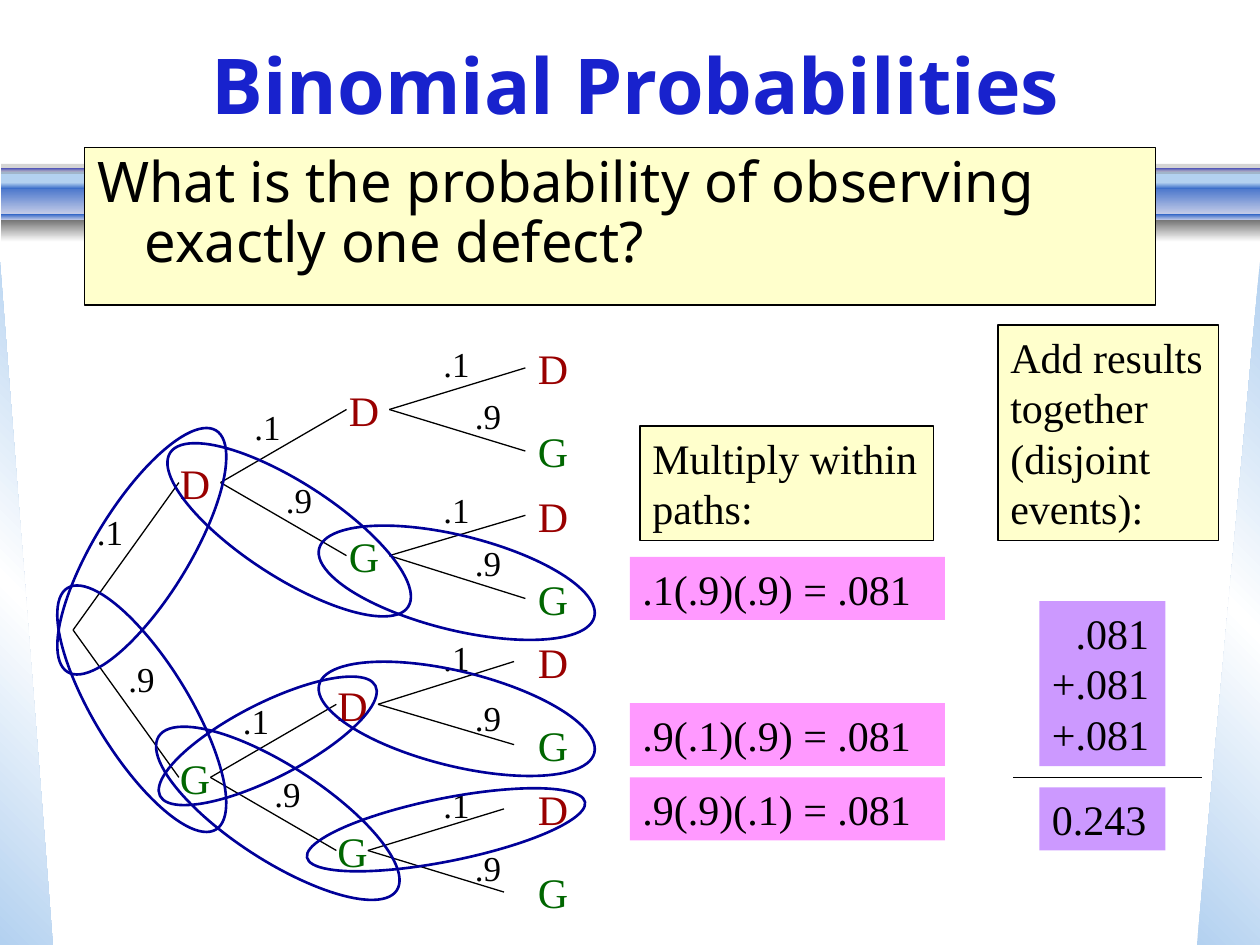
from dataclasses import dataclass

from lxml.etree import SubElement
from pptx import Presentation
from pptx.dml.color import RGBColor
from pptx.enum.shapes import MSO_CONNECTOR, MSO_SHAPE
from pptx.enum.text import MSO_ANCHOR, MSO_AUTO_SIZE, PP_ALIGN
from pptx.oxml import parse_xml
from pptx.oxml.ns import nsdecls, qn
from pptx.util import Inches, Pt


@dataclass(frozen=True)
class Theme:
    sans: str = "Noto Sans"
    serif: str = "Times New Roman"
    title_size: int = 44
    question_size: int = 32
    text_size: int = 24
    chance_size: int = 20
    black: str = "000000"
    title: str = "1822CD"
    defect: str = "990000"
    good: str = "006600"
    loop: str = "000099"
    cream: str = "FFFFCC"
    pink: str = "FF99FF"
    violet: str = "CC99FF"
    sky: str = "B3D1F0"
    blue: str = "3568C7"
    mist: str = "CAD0E9"
    lilac: str = "BABBE7"
    grey: str = "777777"
    white: str = "FFFFFF"


THEME = Theme()


def write_text(frame, text, font=THEME.serif, size=THEME.text_size, color=THEME.black,
               bold=False, align=PP_ALIGN.LEFT, anchor=MSO_ANCHOR.TOP,
               fit=MSO_AUTO_SIZE.NONE, hanging=0, spacing=None):
    """Fill a text frame, one paragraph per line of text."""
    frame.word_wrap = True
    frame.auto_size = fit
    frame.vertical_anchor = anchor
    for number, line in enumerate(text.split("\n")):
        para = frame.add_paragraph() if number else frame.paragraphs[0]
        para.text = line
        if hanging:
            properties = para._p.get_or_add_pPr()
            properties.set("marL", str(Inches(hanging)))
            properties.set("indent", str(-Inches(hanging)))
            SubElement(properties, qn("a:buNone"))
        para.alignment = align
        para.space_before = Pt(0)
        para.line_spacing = spacing
        for span in para.runs:
            span.font.name = font
            span.font.size = Pt(size)
            span.font.bold = bold
            span.font.color.rgb = RGBColor.from_string(color)


class SlideBuilder:
    def __init__(self, deck, theme):
        self.theme = theme
        self.page = deck.slides.add_slide(deck.slide_layouts[1])
        self.nodes = []

    def paint(self, shape, fill=None, line=None, width=0.75):
        if fill:
            shape.fill.solid()
            shape.fill.fore_color.rgb = RGBColor.from_string(fill)
        else:
            shape.fill.background()
        if line:
            shape.line.color.rgb = RGBColor.from_string(line)
            shape.line.width = Pt(width)
        else:
            shape.line.fill.background()

    def shape(self, kind, place, fill=None, line=None, width=0.75, flip=None):
        shape = self.page.shapes.add_shape(kind, *map(Inches, place))
        shape.shadow.inherit = False
        self.paint(shape, fill, line, width)
        if flip:
            shape._element.spPr.find(qn("a:xfrm")).set(flip, "1")
        return shape

    def gradient(self, kind, place, colors, angle=90, flip=None):
        shape = self.shape(kind, place, fill=colors[0], flip=flip)
        step = 100000 // (len(colors) - 1)
        stops = "".join(f'<a:gs pos="{step * number}"><a:srgbClr val="{color}"/></a:gs>'
                        for number, color in enumerate(colors))
        solid = shape._element.spPr.find(qn("a:solidFill"))
        solid.getparent().replace(solid, parse_xml(
            f'<a:gradFill {nsdecls("a")} rotWithShape="1"><a:gsLst>{stops}</a:gsLst>'
            f'<a:lin ang="{angle * 60000}" scaled="1"/></a:gradFill>'))

    def placeholder(self, index, place, text, fill=None, line=None, **style):
        box = self.page.placeholders[index]
        box.left, box.top, box.width, box.height = map(Inches, place)
        self.paint(box, fill, line)
        write_text(box.text_frame, text, **style)
        # Lift above the backdrop
        box._element.getparent().append(box._element)

    def label(self, place, text, **style):
        box = self.page.shapes.add_textbox(*map(Inches, place))
        write_text(box.text_frame, text, fit=MSO_AUTO_SIZE.SHAPE_TO_FIT_TEXT, **style)
        return box

    def panel(self, place, text, fill, line=None, **style):
        box = self.shape(MSO_SHAPE.RECTANGLE, place, fill, line)
        write_text(box.text_frame, text, fit=MSO_AUTO_SIZE.SHAPE_TO_FIT_TEXT, **style)
        return box

    def line(self, start, end):
        line = self.page.shapes.add_connector(
            MSO_CONNECTOR.STRAIGHT, *map(Inches, (*start, *end)))
        line.line.color.rgb = RGBColor.from_string(self.theme.black)
        line.line.width = Pt(0.75)
        SubElement(line._element.spPr, qn("a:effectLst"))
        return line

    def node(self, left, middle, letter):
        color = self.theme.defect if letter == "D" else self.theme.good
        box = self.label((left, middle - 0.25, 0.42, 0.5), letter, color=color)
        self.nodes.append((box, left, middle))
        return box

    def fork(self, x, y, end, rise, letter_left, chance_left, tops):
        """Two branches from one point: D above, G below."""
        for sign, letter, chance, shift, top in zip(
                (-1, 1), "DG", (".1", ".9"), (0, 0.25), tops):
            tip = y + sign * rise
            branch = self.line((x, y), (end, tip))
            for box, left, middle in self.nodes:
                if abs(left + 0.42 - x) < 0.02 and abs(middle - y) < 0.02:
                    branch.begin_connect(box, 3)
            target = self.node(letter_left, tip, letter)
            if end == letter_left:
                branch.end_connect(target, 1)
            self.label((chance_left + shift, top, 0.42, 0.43), chance,
                       size=self.theme.chance_size)

    def loop(self, rotation, *place):
        self.shape(MSO_SHAPE.OVAL, place, line=self.theme.loop, width=1.5).rotation = rotation


def main():
    deck = Presentation()
    deck.slide_width, deck.slide_height = Inches(10), Inches(7.5)
    slide = SlideBuilder(deck, THEME)

    # Backdrop: side wedges and the horizontal bar
    wedge = (THEME.sky, THEME.white, THEME.sky)
    slide.gradient(MSO_SHAPE.RIGHT_TRIANGLE, (0, 2.08, 0.42, 5.42), wedge, 315)
    slide.gradient(MSO_SHAPE.RIGHT_TRIANGLE, (9.5, 2.08, 0.5, 5.42), wedge, 45, "flipH")
    bar = MSO_SHAPE.RECTANGLE
    slide.shape(bar, (0.01, 1.36, 9.99, 0.1), THEME.sky)
    for top, height, colors, flip in (
            (1.46, 0.25, (THEME.blue, THEME.mist), None),
            (1.33, 0.03, (THEME.title, THEME.lilac), None),
            (1.7, 0.05, (THEME.mist, THEME.blue), "flipV"),
            (1.45, 0.05, (THEME.sky, THEME.blue), None),
            (1.75, 0.17, (THEME.grey, THEME.white), None)):
        slide.gradient(bar, (0.01, top, 9.99, height), colors, flip=flip)
    veil = slide.shape(bar, (0.01, 1.3, 9.99, 0.08), THEME.grey)
    tint = veil._element.spPr.find(qn("a:solidFill"))[0]
    SubElement(tint, qn("a:alpha")).set("val", "31000")

    # Title and question
    slide.placeholder(0, (0.17, 0.08, 9.75, 1.17), "Binomial Probabilities",
                      font=THEME.sans, size=THEME.title_size, color=THEME.title, bold=True,
                      align=PP_ALIGN.CENTER, anchor=MSO_ANCHOR.MIDDLE)
    slide.placeholder(1, (0.67, 1.17, 8.5, 1.25),
                      "What is the probability of observing exactly one defect?",
                      fill=THEME.cream, line=THEME.black, font=THEME.sans,
                      size=THEME.question_size, hanging=0.38, spacing=0.9)

    # Probability tree: start x and y, end x, rise, letter x, chance x, chance tops
    for fork in (
            (0.58, 5, 1.42, 1.17, 1.33, 0.67, (4, 5.17)),
            (1.75, 3.83, 2.75, 0.58, 2.67, 1.92, (3.17, 3.75)),
            (1.67, 6.17, 2.67, 0.58, 2.58, 1.83, (5.5, 6.08)),
            (3.08, 3.25, 4.17, 0.33, 4.17, 3.42, (2.67, 3.08)),
            (3.08, 4.42, 4.17, 0.33, 4.17, 3.42, (3.83, 4.25)),
            (3, 5.58, 4.08, 0.33, 4.17, 3.42, (5, 5.48)),
            (2.92, 6.75, 4, 0.33, 4.17, 3.42, (6.17, 6.67))):
        slide.fork(*fork)

    # Loops around the paths with exactly one defect
    for loop in (
            (328.4, 0.75, 4.5, 0.75, 2.25), (302.9, 1.83, 5.33, 0.75, 2.25),
            (258.7, 3.29, 5.46, 0.5, 2.25), (31.6, 0.75, 3.25, 0.75, 2.25),
            (302.9, 1.92, 3.08, 0.75, 2.25), (283.9, 3.25, 3.5, 0.75, 2.25),
            (283.9, 3.25, 4.58, 0.75, 2.25), (62.9, 1.83, 4.92, 0.59, 1.92)):
        slide.loop(*loop)

    # Path products
    for top, product in ((4.42, ".1(.9)(.9)"), (5.58, ".9(.1)(.9)"), (6.17, ".9(.9)(.1)")):
        slide.panel((5, top, 2.5, 0.5), f"{product} = .081", THEME.pink)
    slide.panel((5.08, 3.38, 2.33, 0.91), "Multiply within paths:", THEME.cream, THEME.black)

    # Sum of the paths
    slide.panel((7.92, 2.58, 1.75, 1.71), "Add results together (disjoint events):",
                THEME.cream, THEME.black)
    addends = slide.panel((8.25, 4.77, 1, 1.31), ".081\n+.081\n+.081", THEME.violet,
                          align=PP_ALIGN.RIGHT)
    addends.text_frame.margin_right = Inches(0.13)
    slide.line((8.04, 6.17), (9.54, 6.17))
    slide.panel((8.25, 6.25, 1, 0.5), "0.243", THEME.violet)

    deck.save("out.pptx")


if __name__ == "__main__":
    main()
